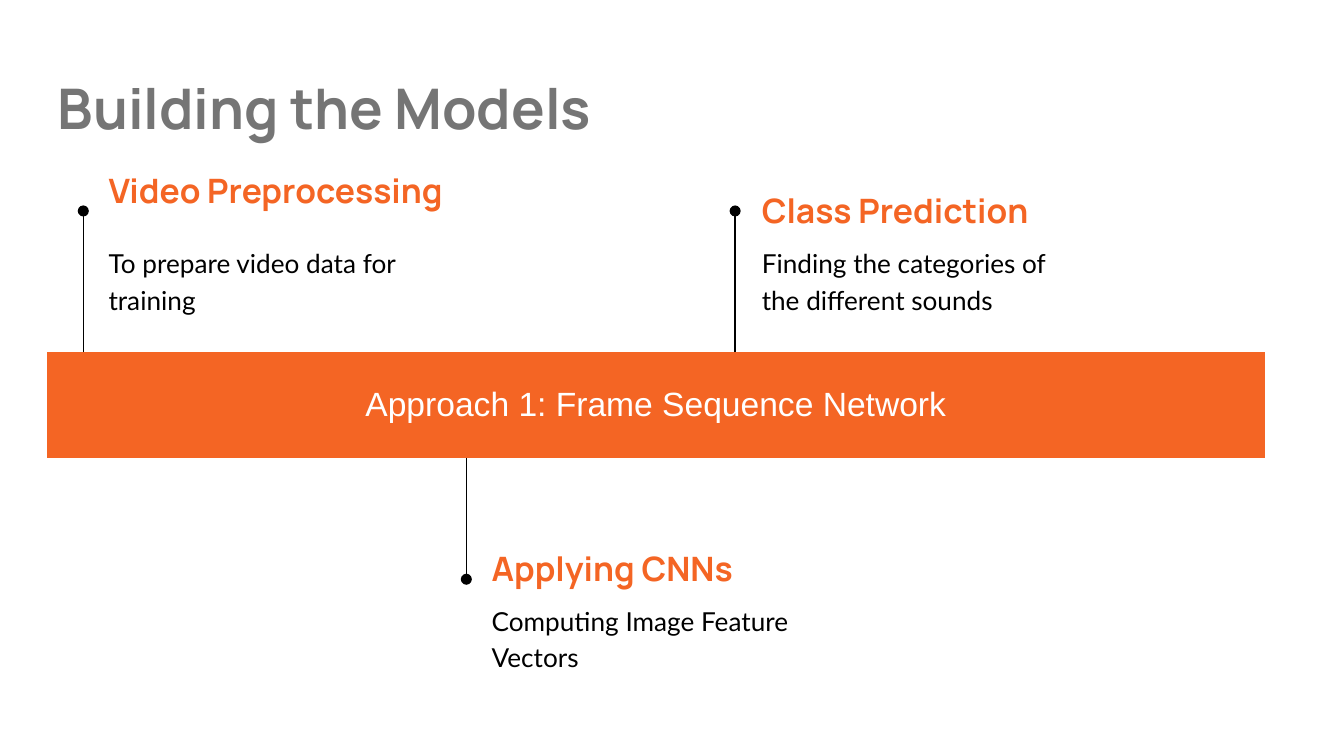
from pptx import Presentation
from pptx.dml.color import RGBColor
from pptx.enum.shapes import MSO_CONNECTOR as Conn
from pptx.enum.text import MSO_ANCHOR as Anchor, MSO_AUTO_SIZE as Fit, PP_ALIGN as Align
from pptx.oxml.ns import qn
from pptx.util import Inches, Pt
from lxml.etree import SubElement

ORANGE, GRAY, BLACK, WHITE = "F46524", "757575", "000000", "FFFFFF"


def color(code):
    return RGBColor.from_string(code)


def write(frame, text, font="Manrope", size=18, ink=ORANGE, bold=False,
          align=Align.LEFT, space=None):
    para = frame.paragraphs[0]
    para.alignment = align
    if space:
        para.line_spacing = space
    run = para.add_run()
    run.text = text
    face = run.font
    face.name, face.size, face.bold = font, Pt(size), bold
    face.color.rgb = color(ink)


def set_frame(frame, anchor):
    frame.word_wrap = True
    frame.auto_size = Fit.NONE
    frame.vertical_anchor = anchor
    frame.margin_left = frame.margin_right = Inches(0.1)
    frame.margin_top = frame.margin_bottom = Inches(0.1)


def add_text(slide, box, text, anchor=Anchor.TOP, **form):
    shape = slide.shapes.add_textbox(*map(Inches, box))
    set_frame(shape.text_frame, anchor)
    write(shape.text_frame, text, **form)


def add_title(slide, box, text):
    title = slide.shapes.title
    title.left, title.top, title.width, title.height = map(Inches, box)
    set_frame(title.text_frame, Anchor.TOP)
    write(title.text_frame, text, size=30, ink=GRAY, bold=True)


def add_band(slide, box, text):
    widths = [1.13] + [0.78] * 6 + [3.25]
    table = slide.shapes.add_table(1, len(widths), *map(Inches, box)).table
    for col, width in zip(table.columns, widths):
        col.width = Inches(width)
    for cell in table.iter_cells():
        props = cell._tc.get_or_add_tcPr()
        for side in ("a:lnL", "a:lnR", "a:lnT", "a:lnB"):
            SubElement(SubElement(props, qn(side)), qn("a:noFill"))
        cell.fill.solid()
        cell.fill.fore_color.rgb = color(ORANGE)
    cell = table.cell(0, 0)
    cell.merge(table.cell(0, len(widths) - 1))
    cell.vertical_anchor = Anchor.MIDDLE
    cell.margin_left = cell.margin_right = Inches(0.1)
    cell.margin_top = cell.margin_bottom = Inches(0.1)
    write(cell.text_frame, text, font="Arial", ink=WHITE, align=Align.CENTER)


def add_pin(slide, x, start, end):
    """Draw a stem from the band that ends in a dot."""
    pin = slide.shapes.add_connector(
        Conn.STRAIGHT, Inches(x), Inches(start), Inches(x), Inches(end))
    pin.line.color.rgb = color(BLACK)
    pin.line.width = Pt(0.75)
    SubElement(pin.line._get_or_add_ln(), qn("a:tailEnd"), type="oval")
    SubElement(pin._element.spPr, qn("a:effectLst"))


def add_step(slide, box, head, body, lift=0):
    """Stack a heading, raised by lift, on its description."""
    x, y, width, body_width = box
    add_text(slide, (x, y - lift, width, 0.43), head, Anchor.MIDDLE, bold=True)
    add_text(slide, (x, y + 0.36, body_width, 0.63), body,
             font="Lato", size=14, ink=BLACK, space=1.15)


def main():
    deck = Presentation()
    deck.slide_width = Inches(10)
    deck.slide_height = deck.slide_width * 9 // 16
    slide = deck.slides.add_slide(deck.slide_layouts[5])

    add_title(slide, (0.33, 0.45, 9.32, 0.7), "Building the Models")
    top, height = 2.62, 0.79
    add_band(slide, (0.35, top, 9.06, height), "Approach 1: Frame Sequence Network")

    for x, start, end in [(0.62, top, 1.57), (3.47, top + height, 4.31),
                          (5.47, top, 1.57)]:
        add_pin(slide, x, start, end)

    add_step(slide, (0.71, 1.35, 3.15, 2.53), "Video Preprocessing",
             "To prepare video data for training", lift=0.15)
    add_step(slide, (3.56, 4.01, 2.53, 2.53), "Applying CNNs",
             "Computing Image Feature Vectors")
    add_step(slide, (5.57, 1.35, 2.57, 2.57), "Class Prediction",
             "Finding the categories of the different sounds")
    deck.save("out.pptx")


if __name__ == "__main__":
    main()
